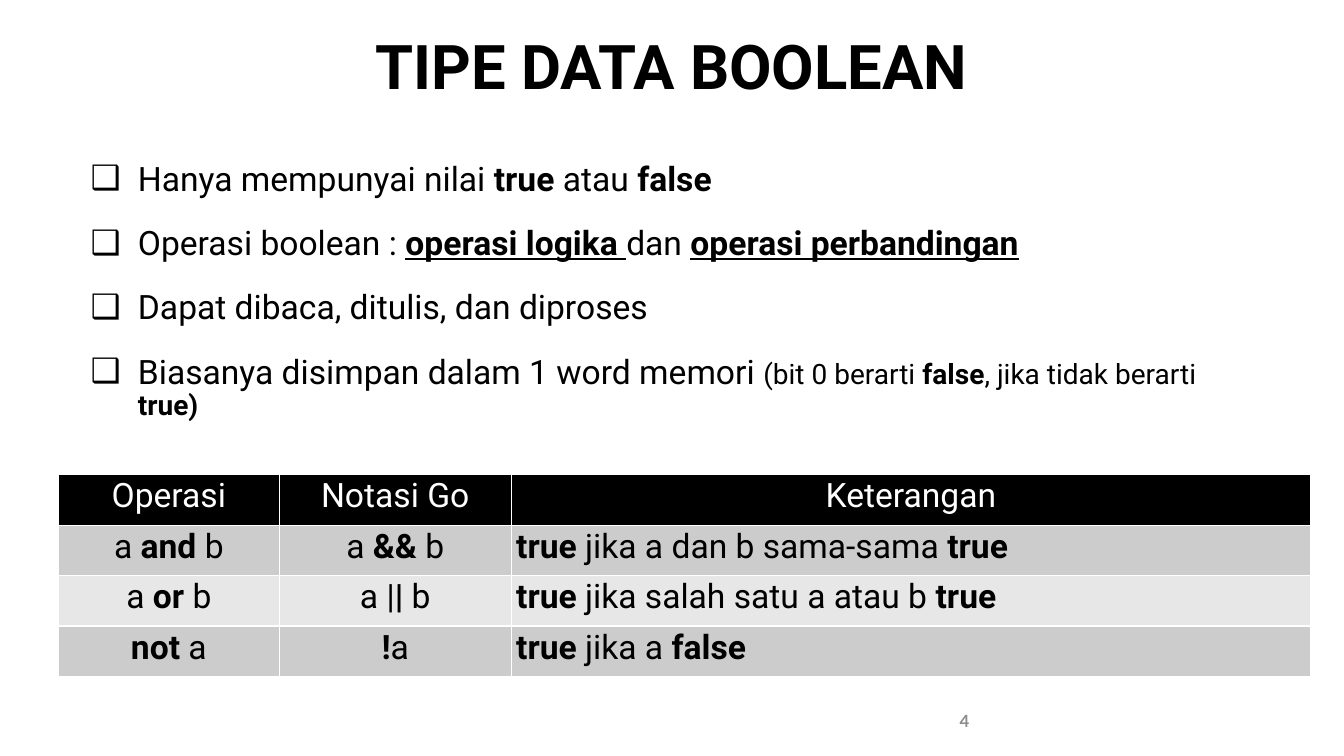
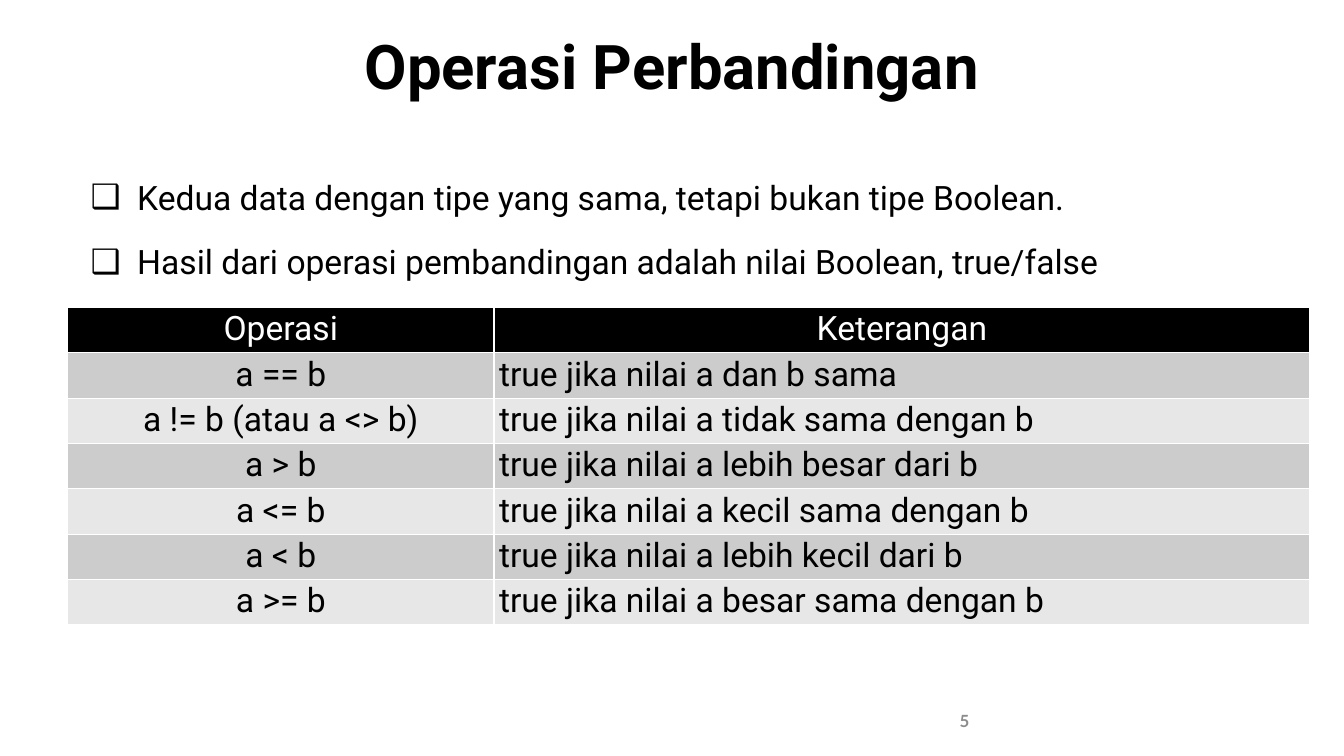
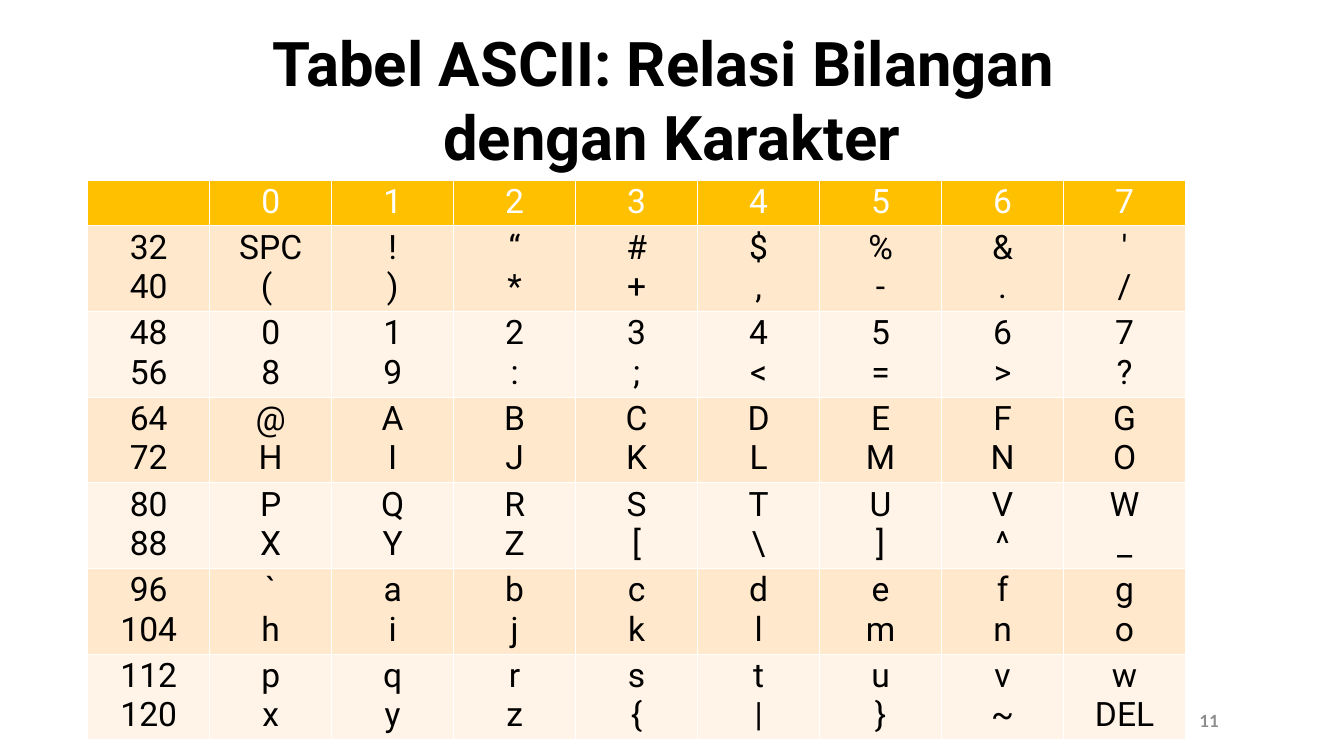
from lxml import etree
from pptx import Presentation
from pptx import util as u
from pptx.dml.color import RGBColor
from pptx.enum import text
from pptx.oxml import ns

HUES = {"black": "000000", "white": "FFFFFF", "gray": "8C8C8C", "gold": "FFC000",
        "dark": "CCCCCC", "light": "E7E7E7", "peach": "FFE8CC", "cream": "FFF4E7"}
FACE = "Roboto"
MONO = ("black", "dark", "light")
WARM = ("gold", "peach", "cream")
TRUE, FALSE = ("true", "b"), ("false", "b")

ASCII = {32: "SPC", 34: "“", 40: "( ", 127: "DEL"}


def char(code):
    return ASCII.get(code, chr(code))


def pair(code, step, show):
    return [[show(code + step)], [show(code + step + 8)]]


codes = [[""] + [str(n) for n in range(8)]]
for code in range(32, 128, 16):
    codes.append([pair(code, 0, str)] + [pair(code, n, char) for n in range(8)])

PAGES = [
    {"title": ["TIPE DATA BOOLEAN"], "top": 0.26, "page": ("4", 9.42, 3),
     "body": {"at": (0.8, 1.56, 11.37, 4.43), "hang": 0.47, "items": [
         ["Hanya mempunyai nilai ", TRUE, " atau ", FALSE],
         ["Operasi boolean : ", ("operasi logika ", "bu"), "dan ",
          ("operasi perbandingan", "bu")],
         ["Dapat dibaca, ditulis, dan diproses"],
         ["Biasanya disimpan dalam 1 word memori ", ("(bit 0 berarti ", "s"),
          ("false", "bs"), (", jika tidak berarti ", "s"), ("true)", "bs")]]},
     "table": {"at": (0.58, 4.71), "cols": [2.19, 2.3, 7.93], "rows": [0.5] * 4,
               "hues": MONO, "left": 2, "cells": [
         ["Operasi", "Notasi Go", "Keterangan"],
         [[["a ", ("and", "b"), " b"]], [["a ", ("&&", "b"), " b"]],
          [[TRUE, " jika a dan b sama-sama ", TRUE]]],
         [[["a ", ("or", "b"), " b"]], [["a |", ("|", "b"), " b"]],
          [[TRUE, " jika salah satu a atau b ", TRUE]]],
         [[[("not", "b"), " a"]], [[("!", "b"), "a"]],
          [[TRUE, " jika a ", FALSE]]]]}},
    {"title": ["Operasi Perbandingan"], "top": 0.26, "page": ("5", 9.42, 3),
     "body": {"at": (0.8, 1.75, 11.66, 4.8), "hang": 0.38, "items": [
         [" Kedua data dengan tipe yang sama, tetapi bukan tipe Boolean."],
         [" Hasil dari operasi pembandingan adalah nilai Boolean, true/false"]]},
     "table": {"at": (0.67, 3.05), "cols": [4.23, 8.09], "rows": [0.45] * 7,
               "hues": MONO, "left": 1, "cells": [
         ["Operasi", "Keterangan"],
         ["a == b", "true jika nilai a dan b sama"],
         ["a != b (atau a <> b)", "true jika nilai a tidak sama dengan b"],
         ["a > b", "true jika nilai a lebih besar dari b"],
         ["a <= b", "true jika nilai a kecil sama dengan b"],
         ["a < b", "true jika nilai a lebih kecil dari b"],
         ["a >= b", "true jika nilai a besar sama dengan b"]]}},
    {"title": ["Tabel ASCII: Relasi Bilangan ", "dengan Karakter"], "top": 0.23,
     "page": ("11", 11.8, 1),
     "table": {"at": (0.87, 1.79), "cols": [1.21] * 9, "rows": [0.45] + [0.85] * 6,
               "hues": WARM, "left": 9, "cells": codes}},
]


def color(name):
    return RGBColor.from_string(HUES[name])


def add_run(para, run, size=24, hue="black", face=FACE):
    words, style = (run, "") if isinstance(run, str) else run
    part = para.add_run()
    part.text = words
    font = part.font
    font.name = face
    font.size = u.Pt(20 if "s" in style else size)
    font.bold = "b" in style
    font.underline = "u" in style
    font.color.rgb = color(hue)


def add_paras(frame, paras, align=None, **look):
    for n, runs in enumerate(paras):
        para = frame.add_paragraph() if n else frame.paragraphs[0]
        para.alignment = align
        for run in runs:
            add_run(para, run, **look)


def add_box(slide, *at):
    frame = slide.shapes.add_textbox(*map(u.Inches, at)).text_frame
    frame.word_wrap = True
    return frame


def add_title(slide, lines, top):
    frame = add_box(slide, 0, top, 13.33, 0.05 + 0.74 * len(lines))
    frame.auto_size = text.MSO_AUTO_SIZE.SHAPE_TO_FIT_TEXT
    frame.margin_left = frame.margin_right = u.Inches(0.05)
    frame.margin_top = frame.margin_bottom = u.Inches(0.02)
    add_paras(frame, [[(line, "b")] for line in lines], text.PP_ALIGN.CENTER, size=44)


def add_number(slide, page, left, width):
    frame = add_box(slide, left, 6.95, width, 0.4)
    frame.vertical_anchor = text.MSO_ANCHOR.MIDDLE
    add_paras(frame, [[(page, "b")]], size=12, hue="gray", face="Lato")


def add_body(slide, at, hang, items):
    frame = add_box(slide, *at)
    add_paras(frame, items)
    for para in frame.paragraphs:
        para.line_spacing = 0.9
        para.space_before = u.Pt(20)
        props = para._p.get_or_add_pPr()
        props.set("marL", str(u.Inches(hang)))
        props.set("indent", str(-u.Inches(hang)))
        etree.SubElement(props, ns.qn("a:buFont")).set("typeface", FACE)
        etree.SubElement(props, ns.qn("a:buChar")).set("char", "❑")


def add_edges(cell):
    props = cell._tc.get_or_add_tcPr()
    for n, side in enumerate("LRTB"):
        line = etree.Element(ns.qn("a:ln" + side))
        line.set("w", str(u.Pt(1)))
        fill = etree.SubElement(line, ns.qn("a:solidFill"))
        etree.SubElement(fill, ns.qn("a:srgbClr")).set("val", HUES["white"])
        props.insert(n, line)


def add_grid(slide, at, cols, rows, hues, left, cells):
    size = (*at, sum(cols), sum(rows))
    grid = slide.shapes.add_table(len(rows), len(cols), *map(u.Inches, size)).table
    for col, width in zip(grid.columns, cols):
        col.width = u.Inches(width)
    for row, height in zip(grid.rows, rows):
        row.height = u.Inches(height)
    head, odd, even = hues
    for r, line in enumerate(cells):
        for c, item in enumerate(line):
            cell = grid.cell(r, c)
            cell.margin_left = cell.margin_right = u.Inches(0.05)
            cell.margin_top = cell.margin_bottom = u.Inches(0.02)
            cell.fill.solid()
            cell.fill.fore_color.rgb = color(head if r == 0 else odd if r % 2 else even)
            add_edges(cell)
            paras = [[item]] if isinstance(item, str) else item
            align = text.PP_ALIGN.LEFT if r and c >= left else text.PP_ALIGN.CENTER
            if item:
                add_paras(cell.text_frame, paras, align, hue="black" if r else "white")


def main():
    deck = Presentation()
    deck.slide_width, deck.slide_height = u.Inches(13.33), u.Inches(7.5)
    for page in PAGES:
        slide = deck.slides.add_slide(deck.slide_layouts[6])
        if "body" in page:
            add_body(slide, **page["body"])
        add_grid(slide, **page["table"])
        add_title(slide, page["title"], page["top"])
        add_number(slide, *page["page"])
    deck.save("out.pptx")


if __name__ == "__main__":
    main()
